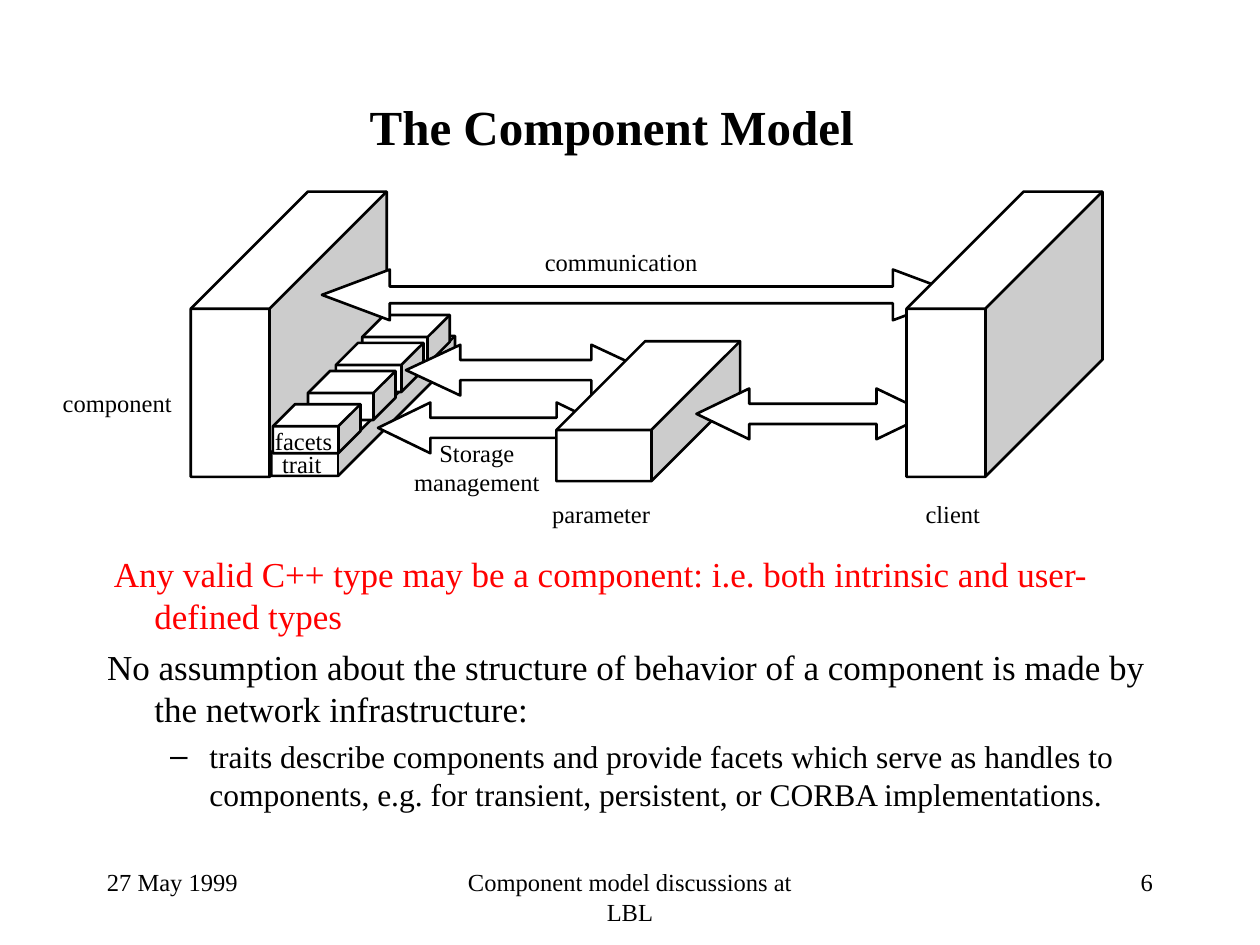
from lxml import etree
from pptx import Presentation
from pptx.dml.color import RGBColor
from pptx.enum.shapes import MSO_SHAPE
from pptx.enum.text import MSO_ANCHOR, MSO_AUTO_SIZE, PP_ALIGN
from pptx.oxml.ns import qn
from pptx.util import Pt

CUBE = MSO_SHAPE.CUBE
ARROW = MSO_SHAPE.LEFT_RIGHT_ARROW
LEFT, CENTER, RIGHT = PP_ALIGN.LEFT, PP_ALIGN.CENTER, PP_ALIGN.RIGHT
TOP, MIDDLE = MSO_ANCHOR.TOP, MSO_ANCHOR.MIDDLE
FIXED, GROW = MSO_AUTO_SIZE.NONE, MSO_AUTO_SIZE.SHAPE_TO_FIT_TEXT

BLACK, WHITE, RED = "000000", "FFFFFF", "FF0000"


def color(value):
    return RGBColor.from_string(value)


class SlideBuilder:
    """Holds the style and the current slide."""
    font_name = "Times New Roman"
    label_size = 14
    line_width = 1.5

    def __init__(self, slide):
        self.slide = slide

    def place(self, shape, left, top, width, height):
        shape.left, shape.top = Pt(left), Pt(top)
        shape.width, shape.height = Pt(width), Pt(height)

    def style(self, paragraph, size, ink=BLACK, bold=False, align=LEFT):
        paragraph.alignment = align
        font = paragraph.font
        font.name, font.size, font.bold = self.font_name, Pt(size), bold
        font.color.rgb = color(ink)

    def title(self, text, box, size, right_inset):
        shape = self.slide.shapes.title
        self.place(shape, *box)
        frame = shape.text_frame
        frame.text = text
        frame.auto_size = FIXED
        frame.vertical_anchor = MIDDLE
        frame.margin_right = Pt(right_inset)
        self.style(frame.paragraphs[0], size, bold=True, align=CENTER)

    def body(self, items, box):
        shape = self.slide.placeholders[1]
        self.place(shape, *box)
        frame = shape.text_frame
        frame.text = "\n".join(item[0] for item in items)
        frame.auto_size = FIXED
        frame.vertical_anchor = TOP
        for paragraph, item in zip(frame.paragraphs, items):
            _, level, size, ink, before, margin, indent, bullet = item
            paragraph.level = level
            properties = paragraph._p.get_or_add_pPr()
            properties.set("marL", str(Pt(margin)))
            properties.set("indent", str(Pt(indent)))
            if bullet:
                mark = etree.SubElement(properties, qn("a:buChar"))
                mark.set("char", bullet)
            else:
                etree.SubElement(properties, qn("a:buNone"))
            paragraph.space_before = Pt(before)
            self.style(paragraph, size, ink)

    def block(self, kind, box, *adjustments):
        left, top, width, height = box
        shape = self.slide.shapes.add_shape(
            kind, Pt(left), Pt(top), Pt(width), Pt(height))
        for index, value in enumerate(adjustments):
            shape.adjustments[index] = value
        shape.shadow.inherit = False
        shape.fill.solid()
        shape.fill.fore_color.rgb = color(WHITE)
        shape.line.color.rgb = color(BLACK)
        shape.line.width = Pt(self.line_width)

    def text(self, text, box, align=CENTER, anchor=MIDDLE, wrap=False):
        left, top, width, height = box
        shape = self.slide.shapes.add_textbox(
            Pt(left), Pt(top), Pt(width), Pt(height))
        frame = shape.text_frame
        frame.word_wrap = wrap
        frame.auto_size = FIXED if wrap else GROW
        frame.vertical_anchor = anchor
        frame.text = text
        for paragraph in frame.paragraphs:
            self.style(paragraph, self.label_size, align=align)


def main():
    presentation = Presentation()
    presentation.slide_width, presentation.slide_height = Pt(720), Pt(540)
    slide = presentation.slides.add_slide(presentation.slide_layouts[1])
    builder = SlideBuilder(slide)

    # Title and explanation
    builder.title("The Component Model", (54, 48, 612, 48), 28, 28.2)
    builder.body([
        (" Any valid C++ type may be a component: i.e. both intrinsic and "
         "user-defined types", 0, 20, RED, 0, 27, -27, None),
        ("No assumption about the structure of behavior of a component is "
         "made by the network infrastructure:", 0, 20, BLACK, 5, 27, -27, None),
        ("traits describe components and provide facets which serve as "
         "handles to components, e.g. for transient, persistent, or CORBA "
         "implementations.", 1, 18, BLACK, 4.5, 58.5, -22.5, "–"),
    ], (54, 312, 612, 168))

    # Component with its trait, and the facets from back to front
    builder.block(CUBE, (109, 109.5, 112, 163), 0.598)
    builder.block(CUBE, (155, 192, 105, 80), 0.834)
    for left, top in [(207, 180), (192, 196), (176, 212), (156, 231)]:
        builder.block(CUBE, (left, top, 50, 28), 0.45)

    # Labels of the blocks, a little wider than their text
    for text, box in [
        ("component", (28, 218, 78, 24.5)),
        ("trait", (153, 252.5, 39, 24.5)),
        ("facets", (149, 239.5, 49, 24.5)),
        ("parameter", (307, 281.5, 73, 24.5)),
        ("client", (521, 281.5, 47, 24.5)),
    ]:
        builder.text(text, box)

    # Parameter and the arrows that link the blocks
    builder.block(ARROW, (216, 230, 132, 29), 0.397, 1.032)
    builder.block(ARROW, (232, 197, 137, 29), 0.397, 1.071)
    builder.block(CUBE, (318, 195, 105, 80), 0.634)
    builder.block(ARROW, (184, 154, 365, 29), 0.328, 1.336)
    builder.text("Storage\nmanagement", (228.5, 246.5, 88, 41))
    builder.text("communication", (303, 137.5, 104, 24.5))
    builder.block(ARROW, (398, 222, 133, 29), 0.397, 1.04)

    # Client
    builder.block(CUBE, (518, 109.5, 112, 163), 0.598)

    # Footer
    for text, left, width, align in [
        ("Component model discussions at LBL", 246, 228, CENTER),
        ("6", 516, 150, RIGHT),
        ("27 May 1999", 54, 150, LEFT),
    ]:
        builder.text(text, (left, 492, width, 36), align, TOP, True)

    presentation.save("out.pptx")


if __name__ == "__main__":
    main()
